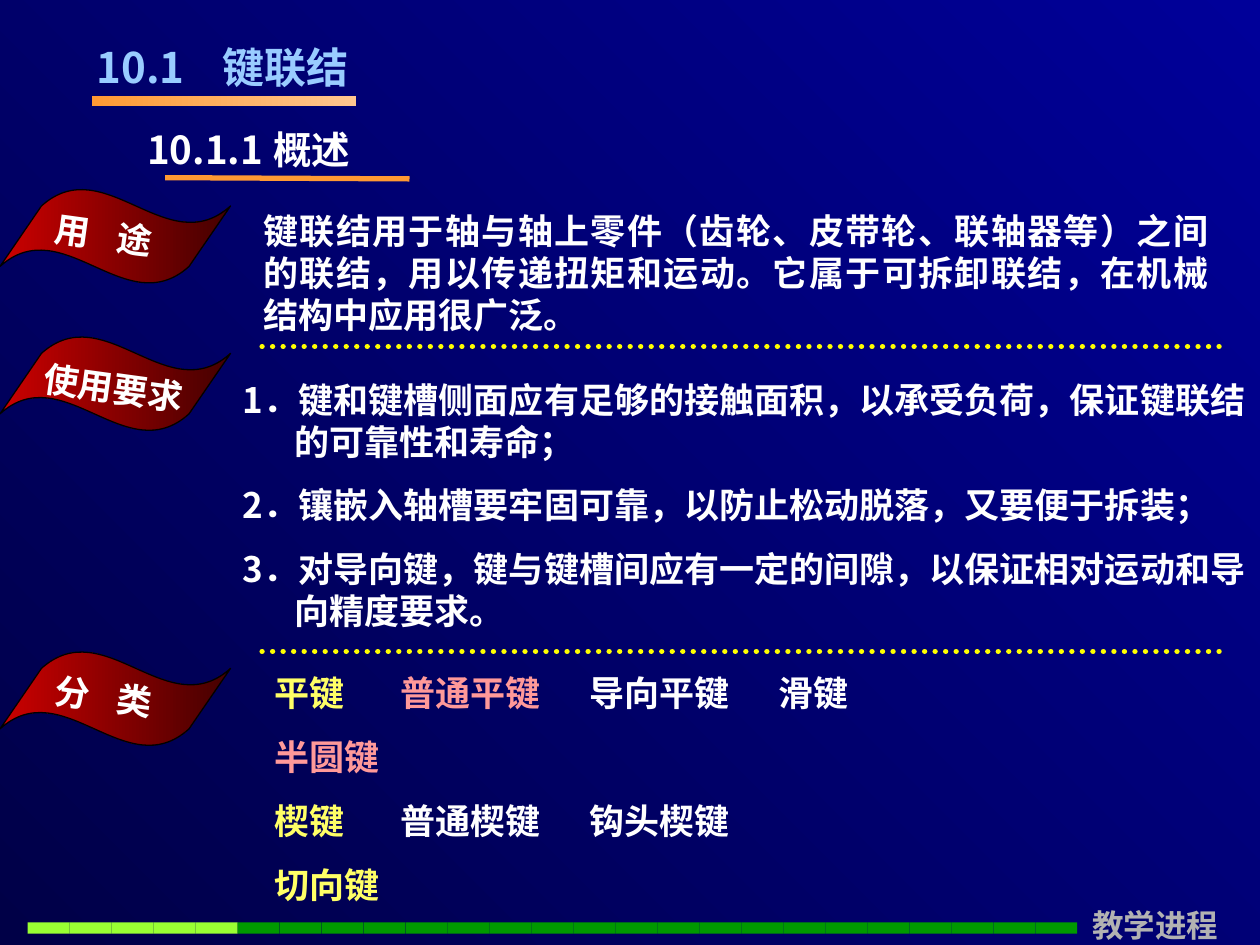
import pptx
import pptx.util
import pptx.dml.color
import pptx.enum.dml
import pptx.enum.shapes
import pptx.enum.text
import pptx.oxml.ns
from lxml import etree

Inches = pptx.util.Inches
Pt = pptx.util.Pt
SHAPES = pptx.enum.shapes.MSO_SHAPE
ALIGN = pptx.enum.text.PP_ALIGN
DASH = pptx.enum.dml.MSO_LINE
qn = pptx.oxml.ns.qn

COLORS = {
    "night": "000047", "blue": "000099", "white": "FFFFFF", "black": "000000",
    "sky": "99CCFF", "orange": "FF9933", "peach": "FFC790", "red": "CC0000",
    "maroon": "440000", "yellow": "FFFF00", "lemon": "FFFF66", "pink": "FF9999",
    "lime": "99FF33", "green": "009900", "gray": "B2B2B2", "speck": "F9F9F9",
}
SANS = "Noto Sans CJK SC"
SERIF = "Times New Roman"


def color(name):
    return pptx.dml.color.RGBColor.from_string(COLORS[name])


def apply(target, values):
    for name, value in values.items():
        setattr(target, name, value)


def fill_gradient(fill, first, last, angle):
    fill.gradient()
    fill.gradient_angle = angle
    for stop, name in zip(fill.gradient_stops, (first, last)):
        stop.color.rgb = color(name)


def add_text(page, box, paragraphs, size=20, wrap=True, rotation=0,
             margin=0, indent=0, tabs=(), align=None):
    holder = page.shapes.add_textbox(*map(Inches, box))
    holder.rotation = rotation
    frame = holder.text_frame
    apply(frame, {"word_wrap": wrap, "margin_top": Inches(0.08)})
    for index, spans in enumerate(paragraphs):
        para = frame.paragraphs[0] if index == 0 else frame.add_paragraph()
        apply(para, {"alignment": align, "line_spacing": Pt(size * 1.2),
                     "space_before": Pt(12.5 if index else 0)})
        settings = para._p.get_or_add_pPr()
        settings.set("marL", str(Inches(margin)))
        settings.set("indent", str(Inches(indent)))
        if tabs:
            stops = etree.SubElement(settings, qn("a:tabLst"))
            for tab in tabs:
                etree.SubElement(stops, qn("a:tab"), pos=str(Inches(tab)), algn="l")
        for text, tone, face in spans:
            span = para.add_run()
            span.text = text
            apply(span.font, {"size": Pt(size), "bold": True, "name": face})
            span.font.color.rgb = color(tone)
            etree.SubElement(span.font._element, qn("a:ea"), typeface=SANS)
    return holder


def add_rule(page, start, end, tone, dotted=False):
    rule = page.shapes.add_connector(
        pptx.enum.shapes.MSO_CONNECTOR.STRAIGHT, *map(Inches, start + end))
    rule.line.width = Pt(3)
    rule.line.color.rgb = color(tone)
    properties = rule._element.spPr
    if dotted:
        rule.line.dash_style = DASH.ROUND_DOT
        properties.find(qn("a:ln")).set("cap", "rnd")
    etree.SubElement(properties, qn("a:effectLst"))


def add_bar(page, box):
    bar = page.shapes.add_shape(SHAPES.RECTANGLE, *map(Inches, box))
    bar.shadow.inherit = False
    bar.line.fill.background()
    return bar


def add_headings(page, box):
    left, top, width, height = box
    add_text(page, (left, top, 2.2, 0.5), [[("10.1\t键联结", "sky", SANS)]],
             size=24, wrap=False, tabs=[1])
    underline = add_bar(page, (left + 0.06, top + 0.51, 2.1, 0.08))
    fill_gradient(underline.fill, "orange", "peach", 0)
    add_text(page, (left + 0.4, top + 0.67, width - 0.4, 0.47),
             [[("10.1.1\t概述", "white", SANS)]], size=22, tabs=[1.19])
    add_rule(page, (left + 0.64, top + height - 0.01),
             (left + 2.58, top + height), "orange")


def add_flag(page, box, label, text_left, text_drop):
    left, top, width, height = box
    flag = page.shapes.add_shape(SHAPES.WAVE, *map(Inches, box))
    flag.adjustments[0] = 0.18
    flag.adjustments[1] = -0.09
    flag.shadow.inherit = False
    fill_gradient(flag.fill, "red", "maroon", 0)
    flag.line.color.rgb = color("black")
    flag.line.width = Pt(0.75)
    add_text(page, (left + text_left, top + text_drop, 1.32, 0.44),
             [[(label, "white", SANS)]], rotation=7.8, tabs=[0.41])


def add_purpose(page, box):
    left, top, width, height = box
    add_text(page, box, [[
        ("键联结用于轴与轴上零件（齿轮、皮带轮、联轴器等）之间的联结，用以传递扭矩和运", "white", SERIF),
        ("动。它属于可拆卸联结，在机械结构中应用很广泛。", "white", SANS),
    ]], margin=0.32, align=ALIGN.JUSTIFY)


def add_requirements(page, box):
    items = [
        ("1", "．键和键槽侧面应有足够的接触面积，以承受负荷，保证键联结的可靠性和寿命；", SERIF),
        ("2", "．镶嵌入轴槽要牢固可靠，以防止松动脱落，又要便于拆装；", SERIF),
        ("3", "．对导向键，键与键槽间应有一定的间隙，以保证相对运动和导向精度要求。", SANS),
    ]
    add_text(page, box, [[(number, "white", SANS), (text, "white", face)]
                         for number, text, face in items],
             margin=0.41, indent=-0.41)


def add_kinds(page, box):
    rows = [
        [("平键\t", "lemon"), ("普通平键", "pink"), ("\t导向平键\t滑键", "white")],
        [("半圆键", "pink")],
        [("楔键\t", "lemon"), ("普通楔键\t钩头楔键", "white")],
        [("切向键", "lemon")],
    ]
    add_text(page, box, [[(text, tone, SANS) for text, tone in row] for row in rows],
             tabs=[0.94, 2.24, 3.61])


def add_progress(page, box, count=25, done=5):
    left, top, width, height = box
    step = width / count
    for index in range(count):
        segment = add_bar(page, (left + index * step, top, step, height))
        segment.fill.solid()
        segment.fill.fore_color.rgb = color("lime" if index < done else "green")
    add_text(page, (left + width + 0.02, top - 0.21, 1.42, 0.4),
             [[("教学进程", "gray", SANS)]], size=18)


def add_speck(page, box):
    left, top, width, height = box
    builder = page.shapes.build_freeform(Inches(left), Inches(top))
    builder.add_line_segments([(Inches(left + width), Inches(top + height))])
    speck = builder.convert_to_shape()
    speck.shadow.inherit = False
    speck.fill.solid()
    speck.fill.fore_color.rgb = color("speck")
    speck.line.fill.background()


def main():
    deck = pptx.Presentation()
    apply(deck, {"slide_width": Inches(10), "slide_height": Inches(7.5)})
    page = deck.slides.add_slide(deck.slide_layouts[6])
    fill_gradient(page.background.fill, "night", "blue", 45)
    add_speck(page, (8.3, 0.13, 0.01, 0.04))
    add_headings(page, (0.67, 0.25, 2.91, 1.17))
    flags = [(1.5, "用\t途", 0.34, 0.14), (2.67, "使用要求", 0.25, 0.16),
             (5.17, "分\t类", 0.34, 0.13)]
    for top, label, text_left, text_drop in flags:
        add_flag(page, (0, top, 1.83, 0.75), label, text_left, text_drop)
    add_purpose(page, (1.67, 1.58, 8.02, 1.1))
    add_requirements(page, (1.83, 2.92, 8.17, 2.12))
    add_kinds(page, (2.08, 5.25, 6.92, 1.96))
    for height in (2.75, 5.17):
        add_rule(page, (2.08, height), (9.69, height), "yellow", dotted=True)
    add_progress(page, (0.22, 7.32, 8.33, 0.09))
    deck.save("out.pptx")


if __name__ == "__main__":
    main()
